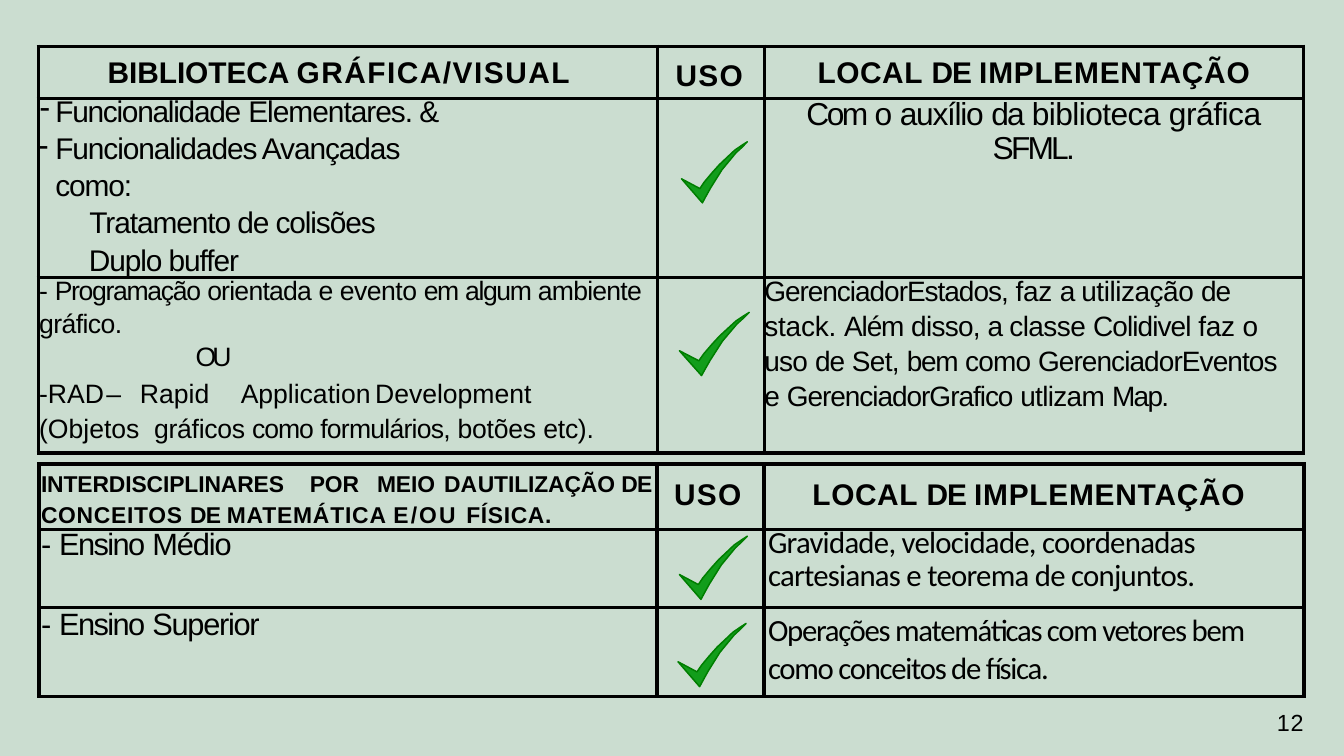
from lxml.etree import SubElement
from pptx import Presentation
from pptx.dml.color import RGBColor
from pptx.enum.text import PP_ALIGN as Align
from pptx.oxml.ns import qn
from pptx.util import Cm, Pt

BACKGROUND, BLACK = "CBDDD0", "000000"
MARK_FILL, MARK_LINE = "129D1B", "007E00"
BORDER_WIDTH = 4.25

# Each run is (text, letter spacing in points); BREAK starts a new line.
BREAK = ("\n", 0)
USE_TITLE = [("USO", 1.3)]
PLACE_TITLE = [("LOCAL ", 0.6), ("DE ", -1.2), ("IMPLEMENTAÇÃO", 0.8)]


def title(runs, size=32, **layout):
    return dict(runs=runs, size=size, bold=True, **layout)


# A cell is (top margin in cm, paragraphs); lengths are in cm, line spacing in points or lines.
EMPTY = (0, [])
LIBRARY_ROWS = [
    [
        (0.38, [title([("BIBLIOTECA ", -0.1), ("GRÁFICA/VISUAL", 1.6)], left=2.62)]),
        (0.5, [title(USE_TITLE, left=0.69)]),
        (0.38, [title(PLACE_TITLE, align=Align.CENTER)]),
    ],
    [
        (0, [
            dict(runs=[("Funcionalidade ", -1.4), ("Elementares. &", -1.1)],
                 size=32, left=0.64, first=-0.58, line=Pt(32), bullet="-"),
            dict(runs=[("Funcionalidades Avançadas", -1.2), BREAK, ("como:", -1.2)],
                 size=32, left=0.64, first=-0.64, line=1.11, bullet="-"),
            dict(runs=[("Tratamento de colisões", -1.2)], size=32, left=1.93, line=1.11),
            dict(runs=[("Duplo buffer", -1.2)], size=32, left=1.91, before=4.2),
        ]),
        EMPTY,
        (0, [dict(runs=[("Com ", -2.7), ("o ", -1.2), ("auxílio ", -1.4), ("da ", -1.9),
                        ("biblioteca ", -0.6), ("gráfica", -0.5), (" SFML.", -3)],
                  size=34, line=Pt(36.4), align=Align.CENTER)]),
    ],
    [
        (0, [
            dict(runs=[("- ", -0.6), ("Programação ", -1.4), ("orientada ", -0.8),
                       ("e ", -1.1), ("evento ", -0.5), ("em ", -1.6),
                       ("algum ", -1.5), ("ambiente", -0.8)],
                 size=28.5, left=0.03, line=Pt(30.6)),
            dict(runs=[("gráfico.", -0.6)], size=28.5, left=0.03, before=3.6),
            dict(runs=[("OU", -4)], size=28.5, left=5.94, before=3.6),
            dict(runs=[("-RAD\t–\tRapid\tApplication\tDevelopment", 0), BREAK,
                       ("(Objetos  ", 0), ("gráficos ", -0.3), ("como ", -1.1),
                       ("formulários, ", -0.8), ("botões ", -0.2), ("etc).", -0.3)],
                 size=28.5, left=0.03, line=Pt(37.8), before=1.9,
                 tabs=[3, 4.37, 7.57, 13.08]),
        ]),
        EMPTY,
        (0, [
            dict(runs=[("GerenciadorEstados, ", -1.1), ("faz ", -0.3), ("a ", -1.9),
                       ("utilização ", -0.5), ("de", -1.1)],
                 size=30, line=Pt(32.5)),
            dict(runs=[("stack. ", -0.2), ("Além ", -1.2), ("disso, ", -0.8), ("a ", -1.9),
                       ("classe ", -0.6), ("Colidivel ", -1), ("faz ", -0.3), ("o", -1), BREAK,
                       ("uso ", -0.8), ("de ", -1.1), ("Set, ", -0.7), ("bem ", -1.4),
                       ("como ", -0.9), ("GerenciadorEventos", -1), BREAK, ("e ", -1),
                       ("GerenciadorGrafico ", -1.1), ("utlizam ", -0.7), ("Map.", -1.8)],
                 size=30, line=1.12),
        ]),
    ],
]
SUBJECT_ROWS = [
    [
        (0.03, [title([("INTERDISCIPLINARES\tPOR\tMEIO\tDA\tUTILIZAÇÃO ", -0.1),
                       ("DE ", -0.8), ("CONCEITOS ", 0.8), ("DE ", -0.8),
                       ("MATEMÁTICA ", 0.9), ("E/OU ", 2.3), ("FÍSICA.", 0.7)],
                      size=24.5, left=0.08, line=Pt(34.1),
                      tabs=[10.16, 12.67, 15.62, 17.5])]),
        (0.53, [title(USE_TITLE, left=0.64)]),
        (0.53, [title(PLACE_TITLE, left=1.83)]),
    ],
    [
        (0, [dict(runs=[("- ", -0.7), ("Ensino ", -1.7), ("Médio", -1.2)],
                  size=33, left=0.08, line=Pt(35.2))]),
        EMPTY,
        (0, [dict(runs=[("Gravidade, velocidade, coordenadas cartesianas e teorema "
                         "de conjuntos.", -0.8)],
                  size=33, left=0.15, line=Pt(35.2), font="Calibri")]),
    ],
    [
        (0, [dict(runs=[("- ", -0.7), ("Ensino ", -1.7), ("Superior", -1.4)],
                  size=33, left=0.08, line=Pt(37.2))]),
        EMPTY,
        (0.2, [dict(runs=[("Operações matemáticas com vetores bem como conceitos "
                           "de física.", -1.4)],
                    size=33, left=0.15, font="Calibri")]),
    ],
]
# left, top, column widths, row heights, rows
TABLES = [
    (1.45, 1.75, [23.4, 4.04, 20.37], [1.98, 6.73, 6.63], LIBRARY_ROWS),
    (1.47, 17.55, [23.37, 4.04, 20.4], [2.46, 2.95, 3.38], SUBJECT_ROWS),
]
# left, top, width, height
CHECK_MARKS = [
    (25.76, 5.36, 2.49, 2.31),
    (25.68, 11.81, 2.64, 2.39),
    (25.68, 20.27, 2.57, 2.39),
    (25.63, 23.57, 2.57, 2.39),
]
CHECK_OUTLINE = [
    (0, 57), (33, 94), (38, 85), (46, 71), (55, 57), (64, 43), (75, 30), (86, 17), (95, 9),
    (104, 0), (96, 5), (84, 13), (72, 24), (60, 35), (48, 48), (36, 62), (29, 72),
]
PAGE_NUMBER = dict(runs=[("12", 1)], size=25, left=0.1, line=Pt(26.4))


def color(hex_code):
    return RGBColor.from_string(hex_code)


def paint(fill, hex_code):
    fill.solid()
    fill.fore_color.rgb = color(hex_code)


def write_paragraph(paragraph, runs, size, font="Arial", bold=False, left=0, first=0,
                    line=None, before=0, align=Align.LEFT, bullet=None, tabs=()):
    paragraph.alignment = align
    paragraph.line_spacing = line
    paragraph.space_before = Pt(before)
    properties = paragraph._p.get_or_add_pPr()
    properties.set("marL", str(Cm(left)))
    properties.set("indent", str(Cm(first)))
    if bullet:
        SubElement(properties, qn("a:buChar"), char=bullet)
    if tabs:
        tab_list = SubElement(properties, qn("a:tabLst"))
        for position in tabs:
            SubElement(tab_list, qn("a:tab"), pos=str(Cm(position)), algn="l")
    for text, spacing in runs:
        if (text, spacing) == BREAK:
            paragraph.add_line_break()
            continue
        run = paragraph.add_run()
        run.text = text
        run.font.name, run.font.size, run.font.bold = font, Pt(size), bold
        run.font.color.rgb = color(BLACK)
        run.font._element.set("spc", str(round(spacing * 100)))


def write_text(frame, paragraphs):
    frame.word_wrap = True
    for index, content in enumerate(paragraphs):
        paragraph = frame.add_paragraph() if index else frame.paragraphs[0]
        write_paragraph(paragraph, **content)


def add_borders(cell):
    properties = cell._tc.get_or_add_tcPr()
    for side in ("lnL", "lnR", "lnT", "lnB"):
        border = SubElement(properties, qn(f"a:{side}"), w=str(Pt(BORDER_WIDTH)))
        SubElement(SubElement(border, qn("a:solidFill")), qn("a:srgbClr"), val=BLACK)


def add_grid(slide, left, top, widths, heights, rows):
    table = slide.shapes.add_table(len(heights), len(widths), Cm(left), Cm(top),
                                   Cm(sum(widths)), Cm(sum(heights))).table
    for column, width in zip(table.columns, widths):
        column.width = Cm(width)
    for row, height, contents in zip(table.rows, heights, rows):
        row.height = Cm(height)
        for cell, (margin_top, paragraphs) in zip(row.cells, contents):
            cell.margin_left = cell.margin_right = cell.margin_bottom = 0
            cell.margin_top = Cm(margin_top)
            add_borders(cell)
            paint(cell.fill, BACKGROUND)
            write_text(cell.text_frame, paragraphs)


def add_check_mark(slide, left, top, width, height):
    span_x, span_y = (max(values) for values in zip(*CHECK_OUTLINE))
    points = [(Cm(left + x / span_x * width), Cm(top + y / span_y * height))
              for x, y in CHECK_OUTLINE]
    builder = slide.shapes.build_freeform(*points[0])
    builder.add_line_segments(points[1:], close=True)
    mark = builder.convert_to_shape()
    mark.shadow.inherit = False
    paint(mark.fill, MARK_FILL)
    paint(mark.line.fill, MARK_LINE)
    mark.line.width = Pt(1.6)


def main():
    presentation = Presentation()
    presentation.slide_width, presentation.slide_height = Cm(50.8), Cm(28.58)
    slide = presentation.slides.add_slide(presentation.slide_layouts[6])
    paint(slide.background.fill, BACKGROUND)
    for grid in TABLES:
        add_grid(slide, *grid)
    for place in CHECK_MARKS:
        add_check_mark(slide, *place)
    frame = slide.shapes.add_textbox(Cm(48.16), Cm(26.9), Cm(1.27), Cm(0.94)).text_frame
    frame.margin_left = frame.margin_right = frame.margin_top = frame.margin_bottom = 0
    write_text(frame, [PAGE_NUMBER])
    presentation.save("out.pptx")


if __name__ == "__main__":
    main()
